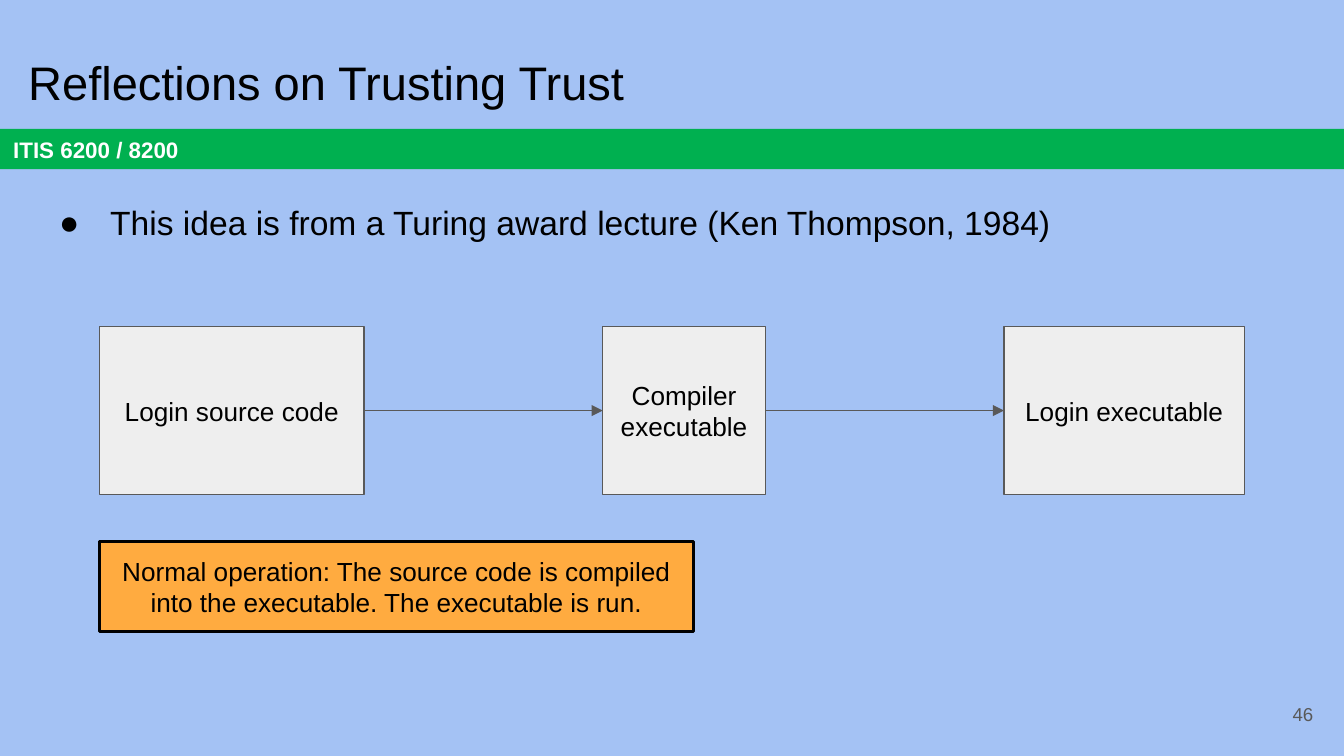
import pptx
import pptx.util
import pptx.dml.color
import pptx.enum.shapes
import pptx.enum.text
import pptx.oxml.ns
import lxml.etree

RGB = pptx.dml.color.RGBColor
ALIGN = pptx.enum.text.PP_ALIGN
ANCHOR = pptx.enum.text.MSO_ANCHOR
RECT = pptx.enum.shapes.MSO_SHAPE.RECTANGLE
STRAIGHT = pptx.enum.shapes.MSO_CONNECTOR.STRAIGHT

SKY = RGB(0xA4, 0xC2, 0xF4)
GREEN = RGB(0x00, 0xB0, 0x50)
ORANGE = RGB(0xFF, 0xAB, 0x40)
PALE = RGB(0xEE, 0xEE, 0xEE)
GREY = RGB(0x59, 0x59, 0x59)
BLACK = RGB(0, 0, 0)
WHITE = RGB(0xFF, 0xFF, 0xFF)

# A 16:9 slide on a grid of one column and one row to the inch
COLS = 10
ROWS = COLS * 9 / 16
FONT = "Arial"


def span(box):
    return [pptx.util.Inches(n) for n in box]


def add_xml(node, tag, **attrs):
    return lxml.etree.SubElement(node, pptx.oxml.ns.qn(tag), **attrs)


def write(shape, text, size=14, color=BLACK, bold=False,
          align=ALIGN.LEFT, anchor=ANCHOR.TOP):
    frame = shape.text_frame
    frame.word_wrap = True
    frame.auto_size = pptx.enum.text.MSO_AUTO_SIZE.NONE
    frame.vertical_anchor = anchor
    pad = pptx.util.Inches(0.1)
    frame.margin_left = frame.margin_right = pad
    frame.margin_top = frame.margin_bottom = pad
    para = frame.paragraphs[0]
    para.alignment = align
    para.space_before = pptx.util.Pt(0)
    run = para.add_run()
    run.text = text
    run.font.name = FONT
    run.font.size = pptx.util.Pt(size)
    run.font.bold = bold
    run.font.color.rgb = color
    return para


def move(shape, box):
    shape.left, shape.top, shape.width, shape.height = span(box)


def block(slide, box, fill, line=None, weight=0.75):
    shape = slide.shapes.add_shape(RECT, *span(box))
    shape.shadow.inherit = False
    shape.fill.solid()
    shape.fill.fore_color.rgb = fill
    if line is None:
        shape.line.fill.background()
    else:
        shape.line.color.rgb = line
        shape.line.width = pptx.util.Pt(weight)
    return shape


def arrow(slide, start, end):
    # Joins the right side of one box to the left side of the next
    link = slide.shapes.add_connector(STRAIGHT, 0, 0, 0, 0)
    link.begin_connect(start, 3)
    link.end_connect(end, 1)
    link.line.color.rgb = GREY
    link.line.width = pptx.util.Pt(0.75)
    add_xml(link.line._get_or_add_ln(), "a:tailEnd", type="triangle")
    add_xml(link._element.spPr, "a:effectLst")


def banner(slide, box):
    bar = block(slide, box, GREEN)
    write(bar, "ITIS 6200 / 8200", size=12, color=WHITE, bold=True,
          anchor=ANCHOR.MIDDLE)


def heading(slide, box):
    title = slide.shapes.title
    move(title, box)
    write(title, "Reflections on Trusting Trust", size=25.2)


def points(slide, box):
    body = slide.placeholders[1]
    move(body, box)
    para = write(body, "This idea is from a Turing award lecture "
                 "(Ken Thompson, 1984)", size=18)
    para.line_spacing = 1.15
    props = para._p.get_or_add_pPr()
    props.set("marL", str(pptx.util.Inches(0.5)))
    props.set("indent", str(pptx.util.Inches(-0.38)))
    tint = add_xml(props, "a:buClr")
    add_xml(tint, "a:srgbClr", val=str(BLACK))
    add_xml(props, "a:buFont", typeface=FONT)
    add_xml(props, "a:buChar", char="●")


def flow(slide, box, steps):
    # Each box spans its own columns; equal gaps take the rest
    left, top, width, height = box
    gap = (width - sum(cols for _, cols in steps)) / (len(steps) - 1)
    last = None
    for text, cols in steps:
        step = block(slide, (left, top, cols, height), PALE, GREY)
        write(step, text, align=ALIGN.CENTER, anchor=ANCHOR.MIDDLE)
        if last is not None:
            arrow(slide, last, step)
        last = step
        left += cols + gap


def note(slide, box):
    shape = block(slide, box, ORANGE, BLACK, 1.5)
    write(shape, "Normal operation: The source code is compiled into the "
          "executable. The executable is run.", align=ALIGN.CENTER)


def folio(slide, box):
    label = slide.shapes.add_textbox(*span(box))
    write(label, "46", size=10, color=GREY, align=ALIGN.RIGHT,
          anchor=ANCHOR.MIDDLE)


def main():
    deck = pptx.Presentation()
    deck.slide_width, deck.slide_height = span((COLS, ROWS))
    slide = deck.slides.add_slide(deck.slide_layouts[1])
    slide.background.fill.solid()
    slide.background.fill.fore_color.rgb = SKY

    # Header and list
    banner(slide, (0, 0.96, COLS, 0.3))
    heading(slide, (0.11, 0.3, 9.32, 0.63))
    points(slide, (0.22, 1.36, 9.32, 0.63))

    # Diagram and its caption
    flow(slide, (0.74, 2.43, 8.52, 1.25), [
        ("Login source code", 1.97),
        ("Compiler executable", 1.21),
        ("Login executable", 1.79),
    ])
    note(slide, (0.74, 4.03, 4.42, 0.67))

    # Page number
    folio(slide, (9.27, 5.1, 0.6, 0.43))
    deck.save("out.pptx")


if __name__ == "__main__":
    main()
